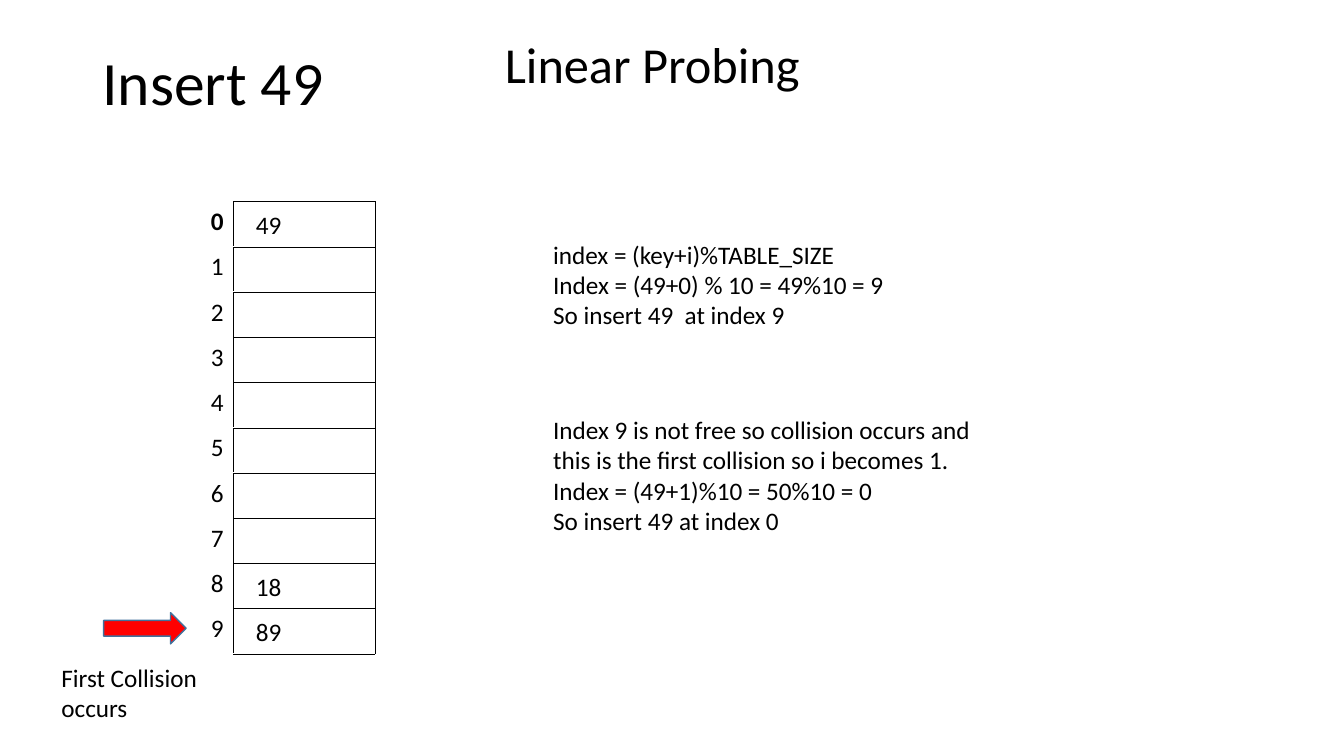
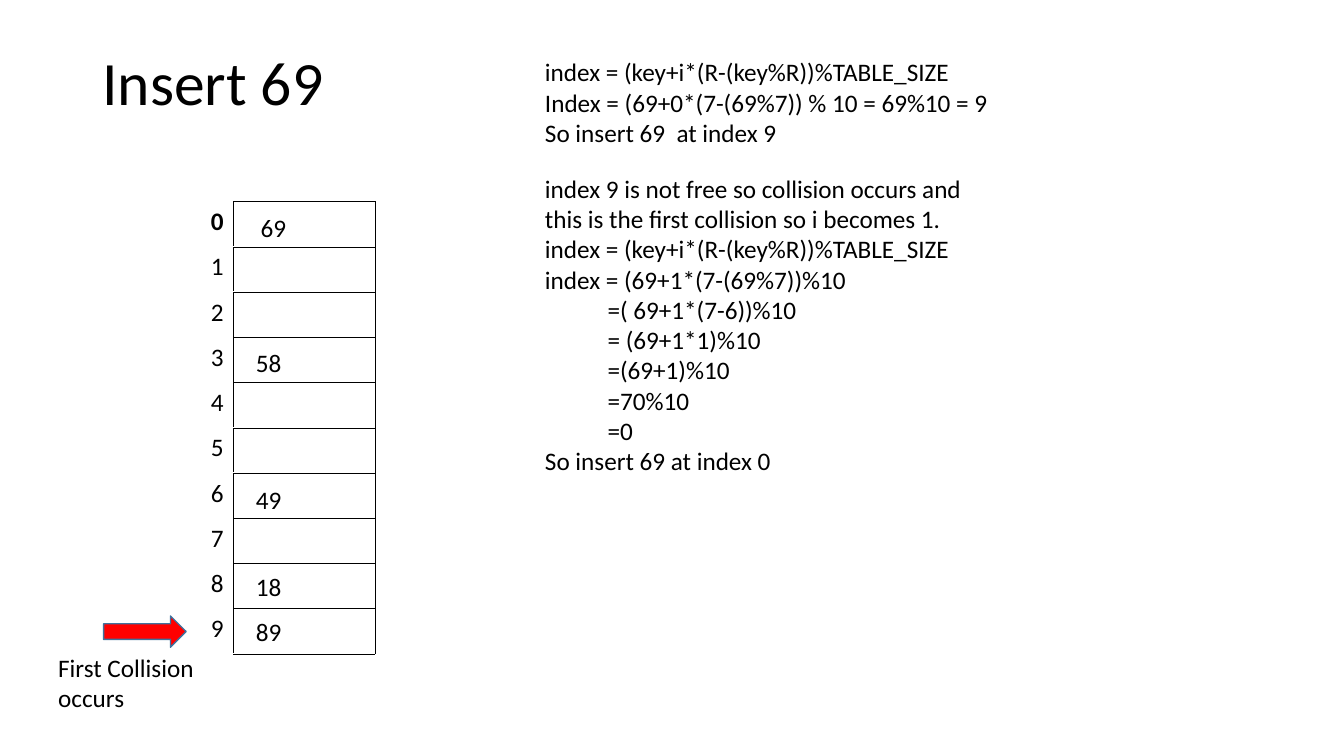
"""Build two slides that step through hash table collisions."""
from pptx import Presentation
from pptx.dml.color import RGBColor
from pptx.enum.shapes import MSO_SHAPE as Shape
from pptx.enum.text import MSO_ANCHOR as Anchor, PP_ALIGN as Align
from pptx.oxml import parse_xml
from pptx.oxml.ns import nsdecls
from pptx.util import Pt

BLACK = RGBColor(0, 0, 0)
WHITE = RGBColor(255, 255, 255)
RED = RGBColor(255, 0, 0)
ARROW_EDGE = RGBColor(0x41, 0x71, 0x9C)
FONT = "Calibri"

SLOTS = 10
TABLE_LEFT, TABLE_TOP, COLUMN_WIDTH, ROW_HEIGHT = 66, 144, 101, 32.33
KEY_LEFT, KEY_WIDTH, KEY_HEIGHT = 175.9, 44, 29
TITLE_BOX = (66.2, 28.4, 828, 65)
STEP_INDENT = 44.7

SLIDES = [
    dict(
        title="Insert 49",
        keys=[(9, "89", 0, 1.9), (8, "18", 0, 2), (0, "49", 0, 2.3)],
        arrow_top=437.6,
        collision_box=(36.8, 469.5, 114, 50),
        heading=("Linear Probing", (353.7, 20, 333, 51)),
        notes=[
            ((388.2, 167.3, 417, 72), [
                "index = (key+i)%TABLE_SIZE",
                "Index = (49+0) % 10 = 49%10 = 9",
                "So insert 49  at index 9",
            ]),
            ((388.2, 292.5, 339, 116), [
                "Index 9 is not free so collision occurs and this is the first collision so i becomes 1.",
                "Index = (49+1)%10 = 50%10 = 0",
                "So insert 49 at index 0",
            ]),
        ],
    ),
    dict(
        title="Insert 69",
        keys=[(9, "89", 0, 1.9), (8, "18", 0, 2), (6, "49", 0, 4.2),
              (3, "58", 0, 3.9), (0, "69", 3.3, 4.4)],
        arrow_top=440,
        collision_box=(34.5, 462.3, 114, 50),
        heading=None,
        notes=[
            ((382.4, 36.9, 417, 72), [
                "index = (key+i*(R-(key%R))%TABLE_SIZE",
                "Index = (69+0*(7-(69%7)) % 10 = 69%10 = 9",
                "So insert 69  at index 9",
            ]),
            ((382.4, 120.2, 339, 245), [
                "index 9 is not free so collision occurs and this is the first collision so i becomes 1.",
                "index = (key+i*(R-(key%R))%TABLE_SIZE",
                "index = (69+1*(7-(69%7))%10",
                "=( 69+1*(7-6))%10",
                "= (69+1*1)%10",
                "=(69+1)%10",
                "=70%10",
                "=0",
                "So insert 69 at index 0",
            ]),
        ],
    ),
]


def write(frame, *lines, size=18, bold=False, align=Align.LEFT, spacing=None):
    for position, line in enumerate(lines):
        paragraph = frame.add_paragraph() if position else frame.paragraphs[0]
        paragraph.alignment = align
        paragraph.line_spacing = spacing
        if line.startswith("="):
            properties = paragraph._p.get_or_add_pPr()
            properties.set("marL", str(Pt(STEP_INDENT)))
            properties.set("indent", "0")
        run = paragraph.add_run()
        run.text = line
        run.font.name = FONT
        run.font.size = Pt(size)
        run.font.bold = bold
        run.font.color.rgb = BLACK


def add_text(slide, box, *lines, anchor=Anchor.TOP, **text_format):
    frame = slide.shapes.add_textbox(*map(Pt, box)).text_frame
    frame.word_wrap = True
    frame.vertical_anchor = anchor
    write(frame, *lines, **text_format)


def style_cell(cell, edges):
    properties = cell._tc.get_or_add_tcPr()
    for edge in edges:
        properties.append(parse_xml(
            f'<a:ln{edge} {nsdecls("a")} w="{Pt(0.45)}"><a:solidFill>'
            f'<a:srgbClr val="{BLACK}"/></a:solidFill></a:ln{edge}>'))
    cell.fill.solid()
    cell.fill.fore_color.rgb = WHITE


def add_hash_table(slide):
    table = slide.shapes.add_table(
        SLOTS, 2, Pt(TABLE_LEFT), Pt(TABLE_TOP),
        Pt(2 * COLUMN_WIDTH), Pt(SLOTS * ROW_HEIGHT)).table
    table.first_row = table.horz_banding = False
    for slot in range(SLOTS):
        table.rows[slot].height = Pt(ROW_HEIGHT)
        index_cell, key_cell = table.cell(slot, 0), table.cell(slot, 1)
        style_cell(index_cell, "R")
        style_cell(key_cell, "LRTB")
        write(index_cell.text_frame, str(slot), bold=slot == 0, align=Align.RIGHT)


def add_keys(slide, keys):
    for slot, key, shift_right, shift_down in keys:
        top = TABLE_TOP + slot * ROW_HEIGHT + shift_down
        add_text(slide, (KEY_LEFT + shift_right, top, KEY_WIDTH, KEY_HEIGHT), key)


def add_collision_arrow(slide, top):
    arrow = slide.shapes.add_shape(
        Shape.RIGHT_ARROW, Pt(74), Pt(top), Pt(59), Pt(22.3))
    arrow.shadow.inherit = False
    arrow.fill.solid()
    arrow.fill.fore_color.rgb = RED
    arrow.line.color.rgb = ARROW_EDGE
    arrow.line.width = Pt(1)


def main():
    deck = Presentation()
    deck.slide_width, deck.slide_height = Pt(960.5), Pt(540)
    for content in SLIDES:
        slide = deck.slides.add_slide(deck.slide_layouts[6])
        add_text(slide, TITLE_BOX, content["title"],
                 size=44, spacing=0.9, anchor=Anchor.MIDDLE)
        add_hash_table(slide)
        add_keys(slide, content["keys"])
        for box, lines in content["notes"]:
            add_text(slide, box, *lines)
        add_collision_arrow(slide, content["arrow_top"])
        add_text(slide, content["collision_box"], "First Collision occurs")
        if content["heading"]:
            heading, box = content["heading"]
            add_text(slide, box, heading, size=36)
    deck.save("out.pptx")


if __name__ == "__main__":
    main()
